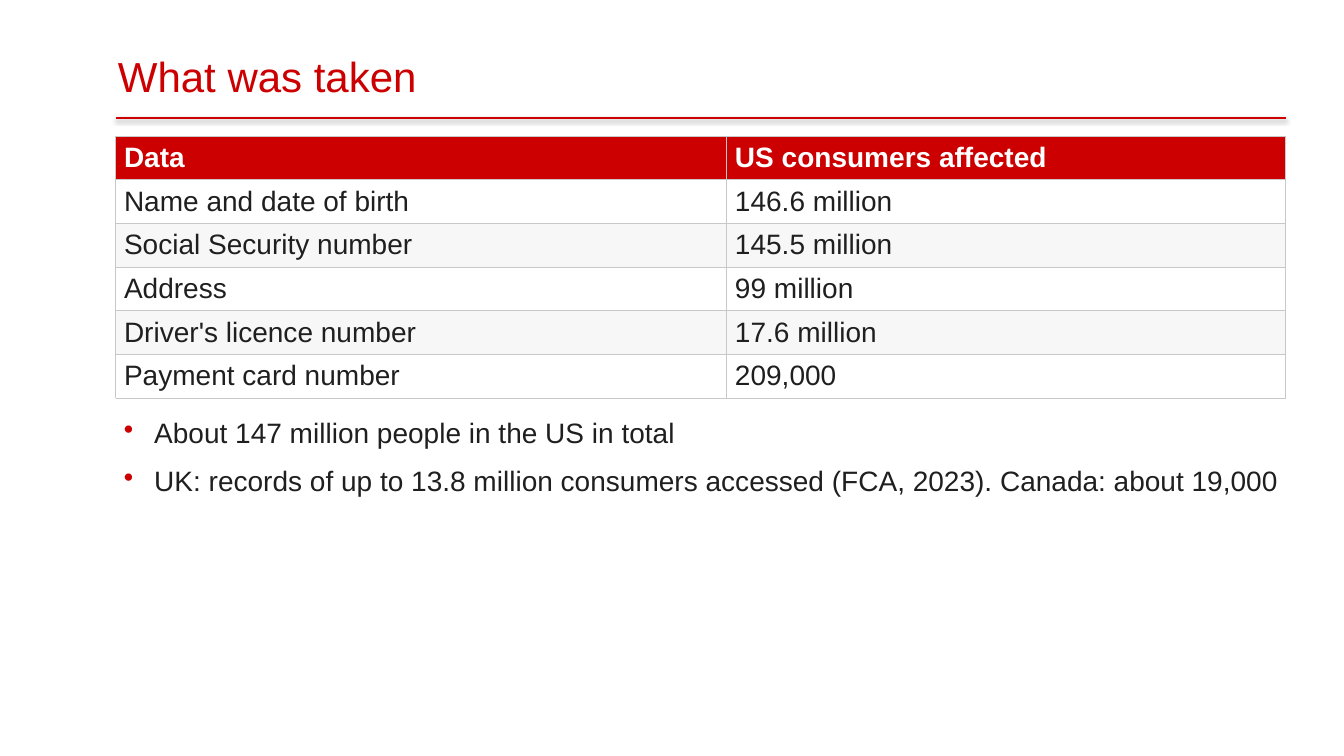
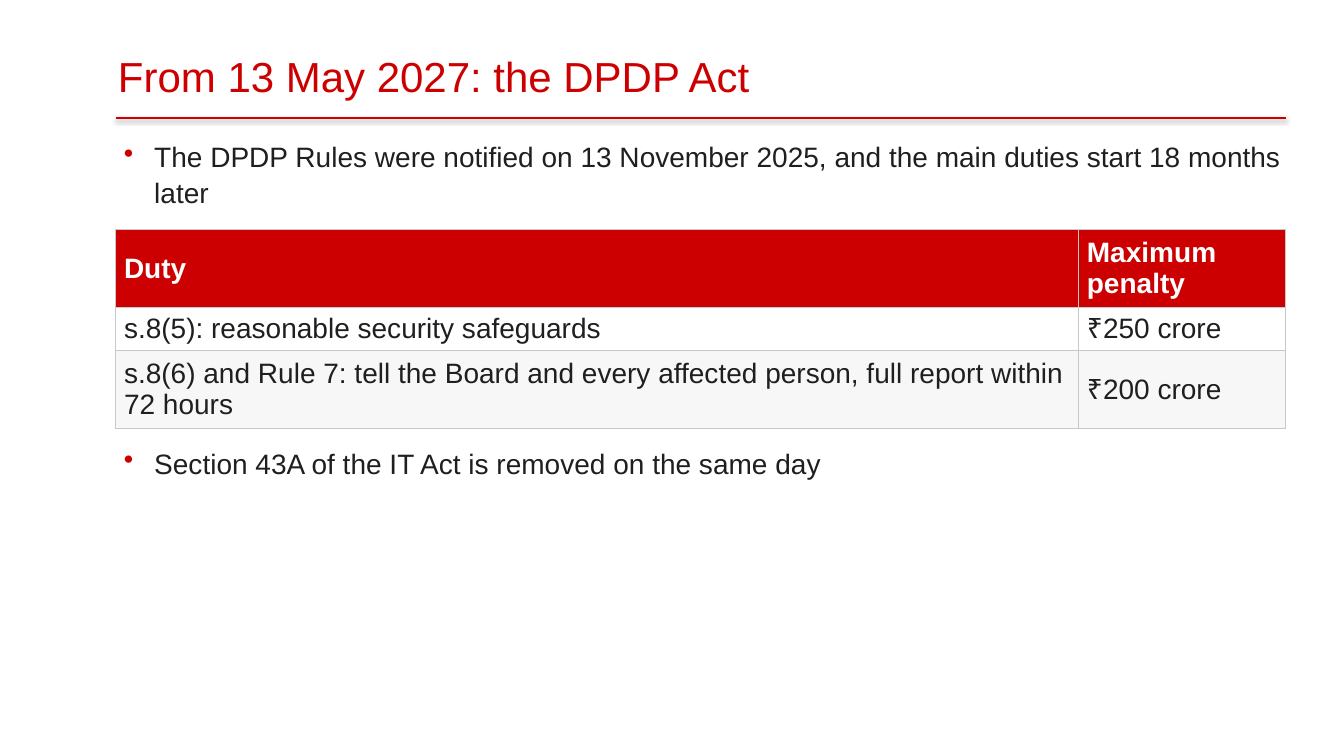
from lxml.etree import SubElement
from pptx import Presentation
from pptx.dml.color import RGBColor
from pptx.enum.shapes import MSO_CONNECTOR
from pptx.enum.text import MSO_ANCHOR, MSO_AUTO_SIZE
from pptx.oxml.ns import qn
from pptx.util import Inches, Pt

RED = RGBColor(0xCC, 0x00, 0x00)
INK = RGBColor(0x1F, 0x1F, 0x1F)
WHITE = RGBColor(0xFF, 0xFF, 0xFF)
STRIPE = RGBColor(0xF7, 0xF7, 0xF7)
GRID = RGBColor(0xC8, 0xC8, 0xC8)

FONT = "Arial"
BODY_SIZE = 20
LEFT, WIDTH = 1.15, 11.6
TITLE_TOP, RULE_TOP, BODY_TOP = 0.35, 1.17, 1.35


def set_font(paragraph, size, color, bold=False):
    font = paragraph.font
    font.name = FONT
    font.size = Pt(size)
    font.bold = bold
    font.color.rgb = color


def add_color(parent, tag, color):
    holder = SubElement(parent, qn(tag))
    SubElement(holder, qn("a:srgbClr"), val=str(color))


def add_text_frame(page, top, height):
    box = page.shapes.add_textbox(
        Inches(LEFT), Inches(top), Inches(WIDTH), Inches(height))
    frame = box.text_frame
    frame.word_wrap = True
    frame.auto_size = MSO_AUTO_SIZE.SHAPE_TO_FIT_TEXT
    frame.margin_left = frame.margin_right = Inches(0.02)
    frame.margin_top = frame.margin_bottom = Inches(0.02)
    return frame


def add_page(deck, title):
    page = deck.slides.add_slide(deck.slide_layouts[6])
    frame = add_text_frame(page, TITLE_TOP, 0.8)
    frame.vertical_anchor = MSO_ANCHOR.MIDDLE
    frame.text = title
    set_font(frame.paragraphs[0], 30, RED)
    rule = page.shapes.add_connector(
        MSO_CONNECTOR.STRAIGHT, Inches(LEFT), Inches(RULE_TOP),
        Inches(LEFT + WIDTH), Inches(RULE_TOP))
    rule.line.color.rgb = RED
    rule.line.width = Pt(1.25)
    return page


def add_bullets(page, top, height, lines):
    frame = add_text_frame(page, top, height)
    frame.text = "\n".join(lines)
    for para in frame.paragraphs:
        para.line_spacing = 1.05
        para.space_after = Pt(9)
        properties = para._p.get_or_add_pPr()
        properties.set("marL", str(Inches(0.36)))
        properties.set("indent", str(Inches(-0.3)))
        add_color(properties, "a:buClr", RED)
        SubElement(properties, qn("a:buChar"), char="•")
        set_font(para, BODY_SIZE, INK)


def add_borders(cell):
    properties = cell._tc.get_or_add_tcPr()
    for side in ("a:lnL", "a:lnR", "a:lnT", "a:lnB"):
        line = SubElement(properties, qn(side), w=str(Pt(0.75)))
        add_color(line, "a:solidFill", GRID)


def style_cell(cell, text, row_index):
    header = row_index == 0
    cell.text = text
    cell.vertical_anchor = MSO_ANCHOR.MIDDLE
    cell.margin_left = cell.margin_right = Inches(0.08)
    cell.margin_top = cell.margin_bottom = Inches(0.03)
    add_borders(cell)
    cell.fill.solid()
    cell.fill.fore_color.rgb = RED if header else (STRIPE, WHITE)[row_index % 2]
    set_font(cell.text_frame.paragraphs[0], BODY_SIZE,
             WHITE if header else INK, header)


def add_data_table(page, top, widths, heights, rows):
    table = page.shapes.add_table(
        len(rows), len(widths), Inches(LEFT), Inches(top),
        Inches(WIDTH), Inches(sum(heights))).table
    table.horz_banding = False
    for column, width in zip(table.columns, widths):
        column.width = Inches(width)
    for row_index, (row, height, texts) in enumerate(zip(table.rows, heights, rows)):
        row.height = Inches(height)
        for cell, text in zip(row.cells, texts):
            style_cell(cell, text, row_index)


def add_taken_page(deck):
    page = add_page(deck, "What was taken")
    rows = [
        ("Data", "US consumers affected"),
        ("Name and date of birth", "146.6 million"),
        ("Social Security number", "145.5 million"),
        ("Address", "99 million"),
        ("Driver's licence number", "17.6 million"),
        ("Payment card number", "209,000"),
    ]
    heights = [2.6 / len(rows)] * len(rows)
    add_data_table(page, BODY_TOP, (6.06, 5.54), heights, rows)
    add_bullets(page, 4.09, 1.25, [
        "About 147 million people in the US in total",
        "UK: records of up to 13.8 million consumers accessed (FCA, 2023). "
        "Canada: about 19,000",
    ])


def add_act_page(deck):
    page = add_page(deck, "From 13 May 2027: the DPDP Act")
    add_bullets(page, BODY_TOP, 0.79, [
        "The DPDP Rules were notified on 13 November 2025, "
        "and the main duties start 18 months later",
    ])
    add_data_table(page, 2.28, (9.55, 2.05), (0.77, 0.43, 0.77), [
        ("Duty", "Maximum penalty"),
        ("s.8(5): reasonable security safeguards", "₹250 crore"),
        ("s.8(6) and Rule 7: tell the Board and every affected person, "
         "full report within 72 hours", "₹200 crore"),
    ])
    add_bullets(page, 4.39, 0.46, [
        "Section 43A of the IT Act is removed on the same day",
    ])


def main():
    deck = Presentation()
    deck.slide_width = Inches(13.33)
    deck.slide_height = Inches(7.5)
    add_taken_page(deck)
    add_act_page(deck)
    deck.save("out.pptx")


if __name__ == "__main__":
    main()
